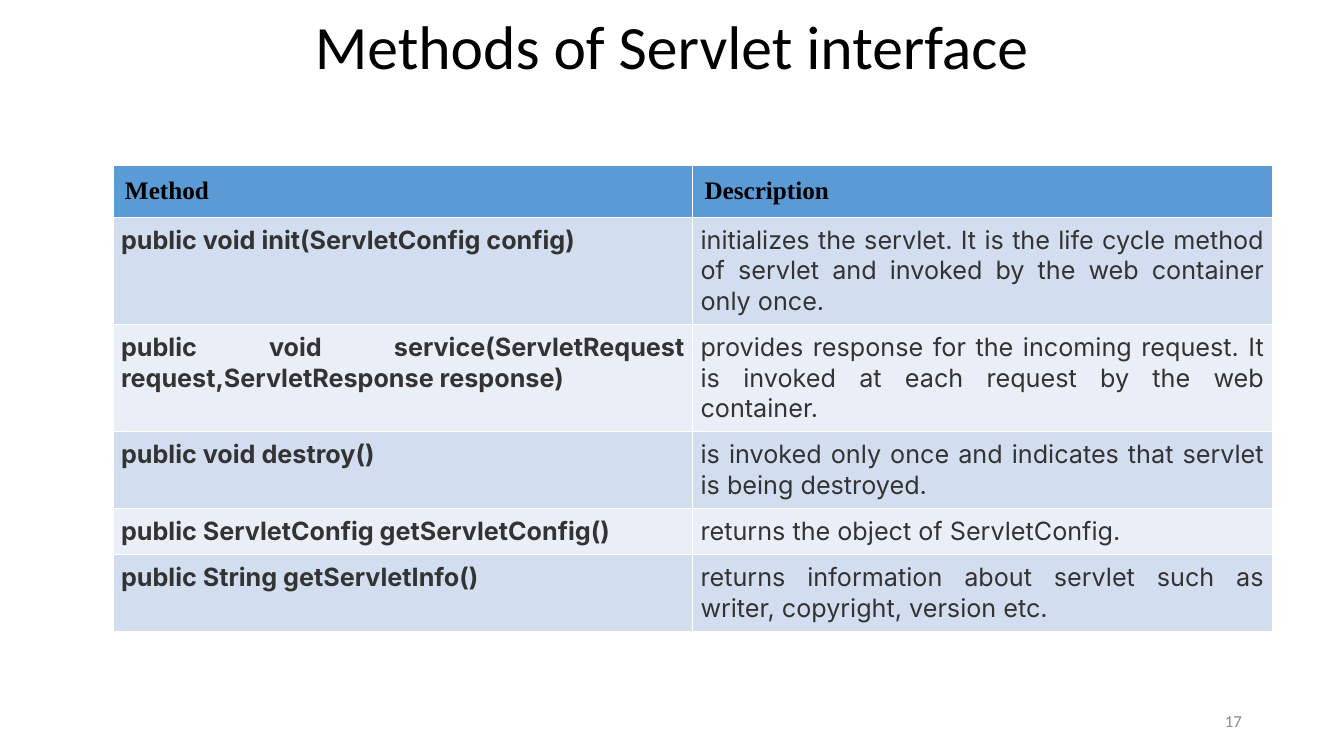
"""Builds the slide that lists the methods of the Servlet interface."""
from dataclasses import dataclass

from pptx import Presentation
from pptx.dml.color import RGBColor
from pptx.enum.text import MSO_ANCHOR, PP_ALIGN
from pptx.table import _Cell
from pptx.text.text import _Paragraph
from pptx.util import Cm, Pt

LEFT, CENTER, RIGHT, JUSTIFY = PP_ALIGN.LEFT, PP_ALIGN.CENTER, PP_ALIGN.RIGHT, PP_ALIGN.JUSTIFY
MIDDLE = MSO_ANCHOR.MIDDLE
BLACK = RGBColor(0x00, 0x00, 0x00)
DARK_GREY = RGBColor(0x33, 0x33, 0x33)
MID_GREY = RGBColor(0x8C, 0x8C, 0x8C)
HEADER_BLUE = RGBColor(0x5B, 0x9B, 0xD5)
BANDS = (RGBColor(0xD2, 0xDE, 0xEF), RGBColor(0xEA, 0xEF, 0xF7))
TITLE_ONLY = 5


@dataclass(frozen=True)
class TextStyle:
    font: str
    size: int
    color: RGBColor
    align: PP_ALIGN
    bold: bool = False


@dataclass(frozen=True)
class ServletMethod:
    signature: str
    description: str


TITLE = TextStyle("Calibri", 44, BLACK, CENTER)
HEADER = TextStyle("Times New Roman", 18, BLACK, LEFT, True)
SIGNATURE = TextStyle("Inter", 18, DARK_GREY, JUSTIFY, True)
DESCRIPTION = TextStyle("Inter", 18, DARK_GREY, JUSTIFY)
PAGE_NUMBER = TextStyle("Calibri", 12, MID_GREY, RIGHT)

METHODS = (
    ServletMethod(
        "public void init(ServletConfig config)",
        "initializes the servlet. It is the life cycle method of servlet and "
        "invoked by the web container only once."),
    ServletMethod(
        "public void service(ServletRequest request,ServletResponse response)",
        "provides response for the incoming request. It is invoked at each "
        "request by the web container."),
    ServletMethod(
        "public void destroy()",
        "is invoked only once and indicates that servlet is being destroyed."),
    ServletMethod(
        "public ServletConfig getServletConfig()",
        "returns the object of ServletConfig."),
    ServletMethod(
        "public String getServletInfo()",
        "returns information about servlet such as writer, copyright, version etc."),
)


def write(paragraph: _Paragraph, text: str, style: TextStyle) -> None:
    """Put styled text into a paragraph."""
    paragraph.text = text
    paragraph.alignment = style.align
    for run in paragraph.runs:
        run.font.name = style.font
        run.font.size = Pt(style.size)
        run.font.bold = style.bold
        run.font.color.rgb = style.color


def fill_cell(cell: _Cell, text: str, style: TextStyle, color: RGBColor, margin: Cm) -> None:
    """Fill a table cell with a colour and styled text."""
    cell.fill.solid()
    cell.fill.fore_color.rgb = color
    cell.margin_left = cell.margin_right = margin
    cell.margin_top = cell.margin_bottom = margin
    write(cell.text_frame.paragraphs[0], text, style)


def main() -> None:
    """Build and save the slide."""
    deck = Presentation()
    deck.slide_width, deck.slide_height = Cm(33.87), Cm(19.05)
    slide = deck.slides.add_slide(deck.slide_layouts[TITLE_ONLY])

    heading = slide.shapes.title
    heading.left, heading.top = Cm(2.33), Cm(0.16)
    heading.width, heading.height = Cm(29.21), Cm(2.16)
    heading.text_frame.vertical_anchor = MIDDLE
    write(heading.text_frame.paragraphs[0], "Methods of Servlet interface", TITLE)
    heading.text_frame.paragraphs[0].line_spacing = 0.9

    methods_frame = slide.shapes.add_table(
        len(METHODS) + 1, 2, Cm(2.85), Cm(4.17), Cm(29.21), Cm(11.13))
    methods_table = methods_frame.table
    for row in methods_table.rows:
        row.height = Cm(1.04)
    methods_frame.height = Cm(11.13)

    for column, label in enumerate(("Method", "Description")):
        fill_cell(methods_table.cell(0, column), label, HEADER, HEADER_BLUE, Cm(0.3))
    for index, method in enumerate(METHODS):
        band = BANDS[index % 2]
        row = index + 1
        fill_cell(methods_table.cell(row, 0), method.signature, SIGNATURE, band, Cm(0.2))
        fill_cell(methods_table.cell(row, 1), method.description, DESCRIPTION, band, Cm(0.2))

    page_number = slide.shapes.add_textbox(Cm(23.93), Cm(17.65), Cm(7.62), Cm(1.02))
    page_number.text_frame.word_wrap = True
    page_number.text_frame.vertical_anchor = MIDDLE
    write(page_number.text_frame.paragraphs[0], "17", PAGE_NUMBER)

    deck.save("out.pptx")


if __name__ == "__main__":
    main()
